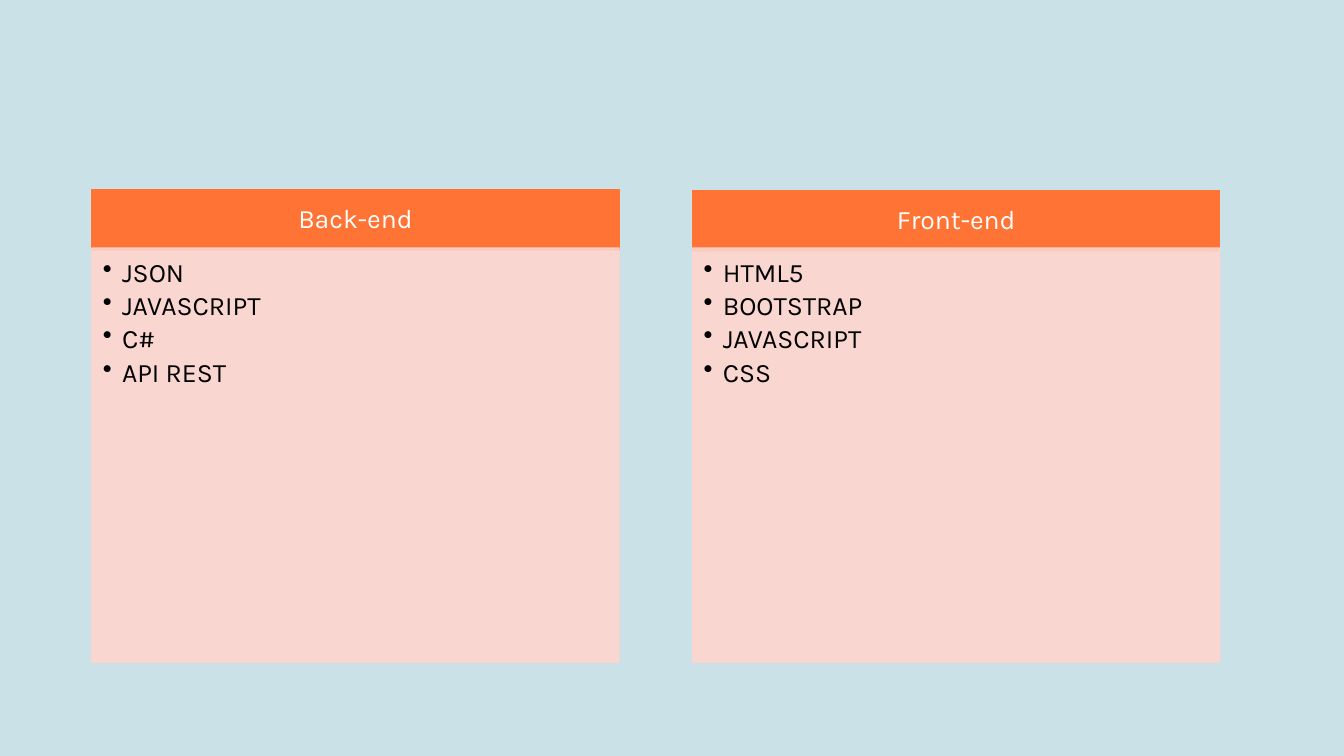
from dataclasses import dataclass

from lxml.etree import SubElement
from pptx import Presentation
from pptx.dml.color import RGBColor
from pptx.enum.shapes import MSO_SHAPE
from pptx.enum.text import MSO_ANCHOR, PP_ALIGN
from pptx.oxml.ns import qn
from pptx.util import Inches, Pt


@dataclass(frozen=True)
class Theme:
    background: str = "CAE1E7"
    header: str = "FF7334"
    body: str = "FFD5CE"
    header_text: str = "FFFFFF"
    body_text: str = "000000"
    font: str = "Karla"
    size: float = 19
    outline: float = 1
    body_alpha: int = 90
    line_spacing: float = 0.9
    item_gap: float = 3.3
    bullet_indent: float = 0.19


THEME = Theme()
GRID_COLUMNS = 100
GRID_ROWS = 100
FIRST_COLUMN = 6.83
COLUMN_STEP = 44.7
PANEL_COLUMNS = 39.23
HEADER_ROWS = 8
BODY_TOP = 32.8
BODY_ROWS = 54.8
PANELS = [
    ("Back-end", 25.07, ["JSON", "JAVASCRIPT", "C#", "API REST"]),
    ("Front-end", 25.2, ["HTML5", "BOOTSTRAP", "JAVASCRIPT", "CSS"]),
]


def apply(target, values):
    for name, value in values.items():
        setattr(target, name, value)


class SlideBuilder:
    def __init__(self, deck, theme):
        self.theme = theme
        self.column = deck.slide_width / GRID_COLUMNS
        self.row = deck.slide_height / GRID_ROWS
        self.page = deck.slides.add_slide(deck.slide_layouts[6])
        fill = self.page.background.fill
        fill.solid()
        fill.fore_color.rgb = RGBColor.from_string(theme.background)

    def box(self, left, top, columns, rows, color, alpha, insets, anchor):
        shape = self.page.shapes.add_shape(
            MSO_SHAPE.RECTANGLE,
            round(left * self.column),
            round(top * self.row),
            round(columns * self.column),
            round(rows * self.row),
        )
        shape.shadow.inherit = False
        shape.line.width = Pt(self.theme.outline)
        for fill in (shape.fill, shape.line.fill):
            fill.solid()
            fill.fore_color.rgb = RGBColor.from_string(color)
        if alpha < 100:
            for tint in shape._element.spPr.iter(qn("a:srgbClr")):
                SubElement(tint, qn("a:alpha"), val=str(alpha * 1000))
        sides = ("margin_left", "margin_top", "margin_right", "margin_bottom")
        margins = {side: Inches(inset) for side, inset in zip(sides, insets)}
        apply(shape.text_frame, {**margins, "word_wrap": True, "vertical_anchor": anchor})
        return shape

    def text(self, para, wording, color, alignment, gap=0):
        apply(para, {
            "alignment": alignment,
            "line_spacing": self.theme.line_spacing,
            "space_after": Pt(gap),
        })
        span = para.add_run()
        span.text = wording
        apply(span.font, {"name": self.theme.font, "size": Pt(self.theme.size)})
        span.font.color.rgb = RGBColor.from_string(color)

    def header(self, left, top, title):
        box = self.box(left, top, PANEL_COLUMNS, HEADER_ROWS, self.theme.header, 100,
                       (0.15, 0.08, 0.15, 0.08), MSO_ANCHOR.MIDDLE)
        self.text(box.text_frame.paragraphs[0], title, self.theme.header_text, PP_ALIGN.CENTER)

    def bullets(self, left, items):
        theme = self.theme
        box = self.box(left, BODY_TOP, PANEL_COLUMNS, BODY_ROWS, theme.body, theme.body_alpha,
                       (0.11, 0.11, 0.15, 0.17), MSO_ANCHOR.TOP)
        frame = box.text_frame
        for index, item in enumerate(items):
            para = frame.add_paragraph() if index else frame.paragraphs[0]
            para.level = 1
            properties = para._p.get_or_add_pPr()
            indent = Inches(theme.bullet_indent)
            properties.set("marL", str(indent))
            properties.set("indent", str(-indent))
            SubElement(properties, qn("a:buChar"), char="•")
            self.text(para, item, theme.body_text, PP_ALIGN.LEFT, theme.item_gap)


def main():
    deck = Presentation()
    apply(deck, {"slide_width": Inches(13.33), "slide_height": Inches(7.5)})
    builder = SlideBuilder(deck, THEME)
    for index, (title, top, items) in enumerate(PANELS):
        left = FIRST_COLUMN + index * COLUMN_STEP
        builder.header(left, top, title)
        builder.bullets(left, items)
    deck.save("out.pptx")


if __name__ == "__main__":
    main()
